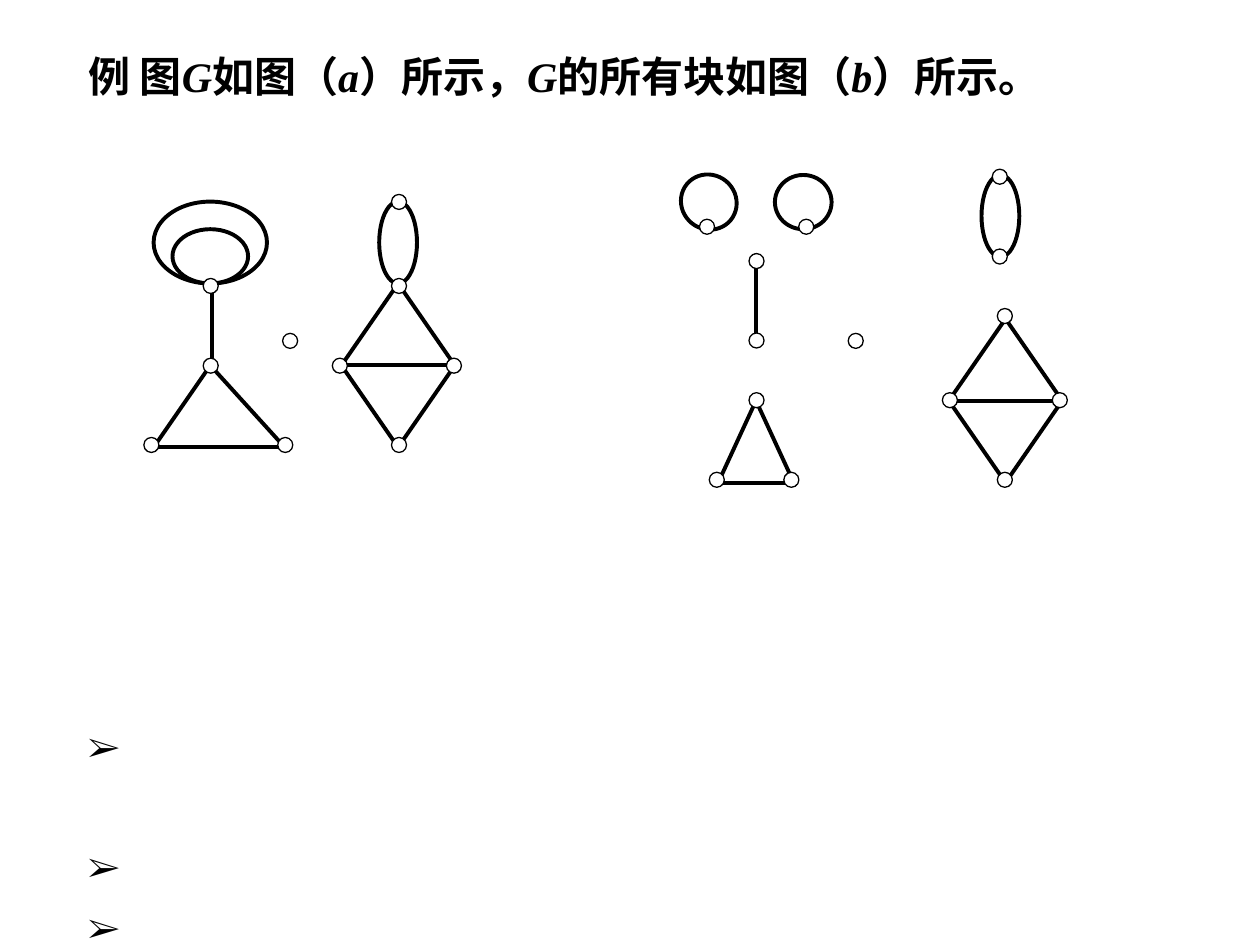
from lxml import etree
from pptx import Presentation
from pptx.dml.color import RGBColor
from pptx.enum.shapes import MSO_CONNECTOR, MSO_SHAPE
from pptx.enum.text import MSO_ANCHOR, MSO_AUTO_SIZE, PP_ALIGN
from pptx.oxml.ns import qn
from pptx.util import Pt

STRAIGHT = MSO_CONNECTOR.STRAIGHT
OVAL, RECT = MSO_SHAPE.OVAL, MSO_SHAPE.RECTANGLE
MIDDLE, TOP = MSO_ANCHOR.MIDDLE, MSO_ANCHOR.TOP
LEFT = PP_ALIGN.LEFT
NO_FIT = MSO_AUTO_SIZE.NONE
FONT = "Times New Roman"
BLACK, WHITE = "000000", "FFFFFF"
NODE_SIZE = 8.6
DIAMOND_DX, DIAMOND_DY = 32.4, 46.8

TITLE_RUNS = [
    ("例 图", False), ("G", True), ("如图（", False), ("a", True),
    ("）所示，", False), ("G", True), ("的所有块如图（", False),
    ("b", True), ("）所示。", False),
]
GRAPH = {
    "triangle": [(87.8, 255.6), (120.2, 208.8), (162.7, 255.6)],
    "bridge": [(121, 209.5), (121, 162.7)],
    "bridge_ends": ("tailEnd",),
    "diamond": (227.5, 208.8),
    "loops": [(98.6, 131, 43.2, 31, 0), (87.8, 115.2, 64.8, 46.8, 0),
              (216.7, 115.2, 21.6, 46.8, 0)],
    "nodes": [(120.4, 163.4), (120.4, 209), (163, 254.3), (86.5, 254.3),
              (228, 163.4), (228, 115.4), (259.4, 209), (194.2, 209),
              (228, 254.3), (165.8, 194.8)],
}
BLOCKS = {
    "triangle": [(410.4, 275.8), (432, 229), (453.6, 275.8)],
    "bridge": [(432, 146.9), (432, 193.7)],
    "bridge_ends": ("headEnd", "tailEnd"),
    "diamond": (574.6, 229),
    "loops": [(388.8, 100, 32.4, 31, 39.3), (442.8, 100, 32.4, 31, 0),
              (560.9, 100, 21.6, 46.8, 0)],
    "nodes": [(404, 129.6), (460.7, 129.6), (432.3, 149.2), (432.3, 194.6),
              (432.3, 228.7), (409.6, 274.2), (489, 194.8), (452.2, 274.2),
              (571.3, 146.6), (571.3, 101), (542.8, 228.7), (605.6, 228.7),
              (574.2, 180.6), (574.2, 274.2)],
}


def color(hex_string):
    return RGBColor.from_string(hex_string)


def add_run(p, text, size, bold=False, italic=False):
    r = p.add_run()
    r.text = text
    r.font.name = FONT
    r.font.size = Pt(size)
    r.font.bold = bold
    r.font.italic = italic
    r.font.color.rgb = color(BLACK)


def add_shape(shapes, kind, box, line, width, fill=None):
    sp = shapes.add_shape(kind, *map(Pt, box))
    sp.shadow.inherit = False
    if fill:
        sp.fill.solid()
        sp.fill.fore_color.rgb = color(fill)
    else:
        sp.fill.background()
    sp.line.color.rgb = color(line)
    sp.line.width = Pt(width)
    return sp


def add_edge(shapes, start, end, ovals=("tailEnd",)):
    edge = shapes.add_connector(STRAIGHT, *map(Pt, start + end))
    edge.line.color.rgb = color(BLACK)
    edge.line.width = Pt(2.25)
    ln = edge.line._get_or_add_ln()
    for tag in ovals:
        etree.SubElement(ln, qn("a:" + tag), type="oval", w="sm", len="sm")
    etree.SubElement(edge._element.spPr, qn("a:effectLst"))


def add_cycle(shapes, points):
    for start, end in zip(points, points[1:] + points[:1]):
        add_edge(shapes, start, end)


def add_diamond(shapes, cx, cy):
    left, right = (cx - DIAMOND_DX, cy), (cx + DIAMOND_DX, cy)
    top, bottom = (cx, cy - DIAMOND_DY), (cx, cy + DIAMOND_DY)
    add_cycle(shapes, [top, left, bottom, right])
    add_edge(shapes, left, right, ())


def add_graph(s, graph):
    shapes = s.shapes.add_group_shape().shapes
    add_cycle(shapes, graph["triangle"])
    add_edge(shapes, *graph["bridge"], graph["bridge_ends"])
    add_diamond(shapes, *graph["diamond"])
    for *box, angle in graph["loops"]:
        add_shape(shapes, OVAL, box, BLACK, 2.25).rotation = angle
    for x, y in graph["nodes"]:
        box = (x - NODE_SIZE / 2, y - NODE_SIZE / 2, NODE_SIZE, NODE_SIZE)
        add_shape(shapes, OVAL, box, BLACK, 0.75, WHITE)


def add_title(s):
    title = s.shapes.title
    title.left, title.top, title.width, title.height = map(Pt, (43.2, 20.2, 612, 46))
    tf = title.text_frame
    tf.auto_size = NO_FIT
    tf.word_wrap = True
    tf.vertical_anchor = MIDDLE
    p = tf.paragraphs[0]
    p.alignment = LEFT
    for text, italic in TITLE_RUNS:
        add_run(p, text, 24, True, italic)


def add_marker_box(s):
    sp = add_shape(s.shapes, RECT, (43.2, 400.3, 616.3, 145.4), WHITE, 0.75)
    tf = sp.text_frame
    tf.word_wrap = True
    tf.vertical_anchor = TOP
    for i, gap in enumerate((0, 34.5, 0)):
        p = tf.add_paragraph() if i else tf.paragraphs[0]
        p.alignment = LEFT
        p.line_spacing = Pt(34.5)
        p.space_before = Pt(gap)
        add_run(p, "➢", 20)


def main():
    prs = Presentation()
    prs.slide_width, prs.slide_height = Pt(720), Pt(540)
    s = prs.slides.add_slide(prs.slide_layouts[5])
    add_title(s)
    for graph in (GRAPH, BLOCKS):
        add_graph(s, graph)
    add_marker_box(s)
    prs.save("out.pptx")


if __name__ == "__main__":
    main()
